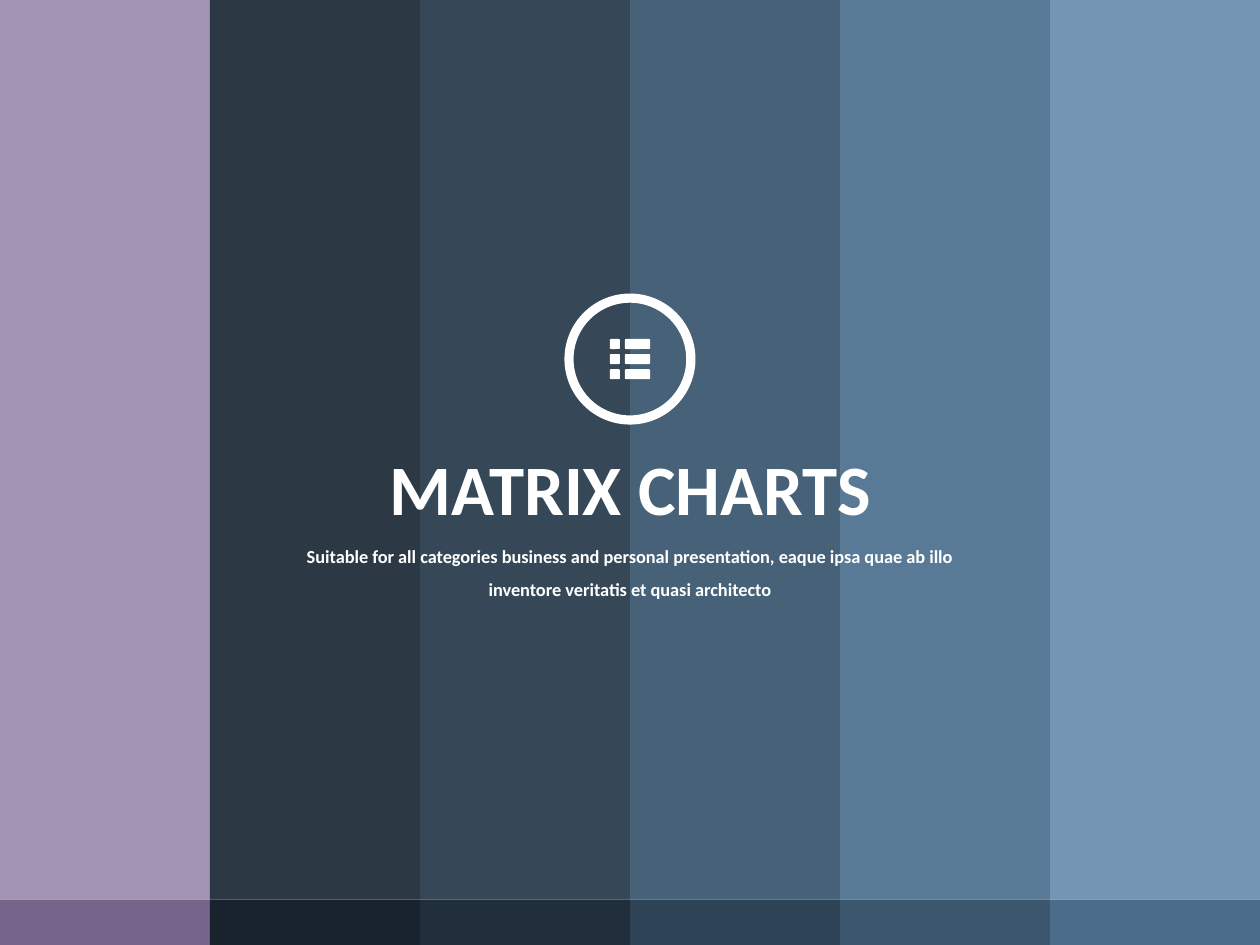
from lxml import etree
from pptx import Presentation
from pptx.dml.color import RGBColor
from pptx.enum.shapes import MSO_SHAPE
from pptx.enum.text import MSO_AUTO_SIZE, PP_ALIGN
from pptx.oxml.ns import qn
from pptx.util import Inches, Pt

RECT, ROUNDED, DONUT = MSO_SHAPE.RECTANGLE, MSO_SHAPE.ROUNDED_RECTANGLE, MSO_SHAPE.DONUT
CENTER = PP_ALIGN.CENTER
FIT_SHAPE = MSO_AUTO_SIZE.SHAPE_TO_FIT_TEXT

FONT = "Calibri"
WHITE = RGBColor(0xFF, 0xFF, 0xFF)
# (column, strip below it), from left to right
COLUMN_COLORS = [
    (RGBColor(0x9E, 0x90, 0xAF), RGBColor(0x76, 0x64, 0x8B)),
    (RGBColor(0x21, 0x2F, 0x3C), RGBColor(0x19, 0x23, 0x2D)),
    (RGBColor(0x2C, 0x3F, 0x50), RGBColor(0x21, 0x2F, 0x3C)),
    (RGBColor(0x3E, 0x59, 0x72), RGBColor(0x2E, 0x43, 0x56)),
    (RGBColor(0x50, 0x73, 0x92), RGBColor(0x3C, 0x56, 0x6E)),
    (RGBColor(0x6D, 0x90, 0xAF), RGBColor(0x4B, 0x6C, 0x8A)),
]
SLIDE_W, SLIDE_H = 10, 7.5
COLUMN_W = SLIDE_W / len(COLUMN_COLORS)
COLUMN_H = 7.14


class SlideBuilder:
    def __init__(self, slide):
        self.slide = slide

    def shape(self, kind, x, y, w, h, color, adjust=None):
        sp = self.slide.shapes.add_shape(kind, Inches(x), Inches(y), Inches(w), Inches(h))
        sp.shadow.inherit = False
        sp.fill.solid()
        sp.fill.fore_color.rgb = color
        sp.line.fill.background()
        if adjust is not None:
            sp.adjustments[0] = adjust
        return sp

    def band(self, x, y, w, h, color, opacity=100):
        """Draw a rectangle turned by 270 degrees that covers the given area."""
        sp = self.shape(RECT, x + (w - h) / 2, y + (h - w) / 2, h, w, color)
        sp.rotation = 270
        if opacity < 100:
            rgb = sp.fill._xPr.find(qn("a:solidFill"))[0]
            etree.SubElement(rgb, qn("a:alpha"), val=str(opacity * 1000))

    def text(self, x, y, w, h, text, size, wrap=True, spacing=None):
        tf = self.slide.shapes.add_textbox(Inches(x), Inches(y), Inches(w), Inches(h)).text_frame
        tf.word_wrap = wrap
        tf.auto_size = FIT_SHAPE
        p = tf.paragraphs[0]
        p.text = text
        p.alignment = CENTER
        p.line_spacing = spacing
        p.font.name = FONT
        p.font.size = Pt(size)
        p.font.bold = True
        p.font.color.rgb = WHITE

    def list_icon(self):
        self.shape(DONUT, 4.48, 2.33, 1.04, 1.04, WHITE, 0.07)
        for x, w in ((4.84, 0.08), (4.96, 0.2)):
            for row in range(3):
                self.shape(ROUNDED, x, 2.69 + 0.12 * row, w, 0.08, WHITE, 0.12)


def main():
    prs = Presentation()
    prs.slide_width, prs.slide_height = Inches(SLIDE_W), Inches(SLIDE_H)
    builder = SlideBuilder(prs.slides.add_slide(prs.slide_layouts[6]))

    for i, (column, strip) in enumerate(COLUMN_COLORS):
        x = i * COLUMN_W
        builder.band(x, 0, COLUMN_W, COLUMN_H, column, opacity=95)
        builder.band(x, COLUMN_H, COLUMN_W, SLIDE_H - COLUMN_H, strip)

    builder.text(2.98, 3.48, 4.05, 0.78, "MATRIX CHARTS", 40.5, wrap=False)
    builder.text(2.19, 4.19, 5.62, 0.63,
                 "Suitable for all categories business and personal presentation, "
                 "eaque ipsa quae ab illo inventore veritatis et quasi architecto",
                 10.5, spacing=1.5)
    builder.list_icon()

    prs.save("out.pptx")


if __name__ == "__main__":
    main()
